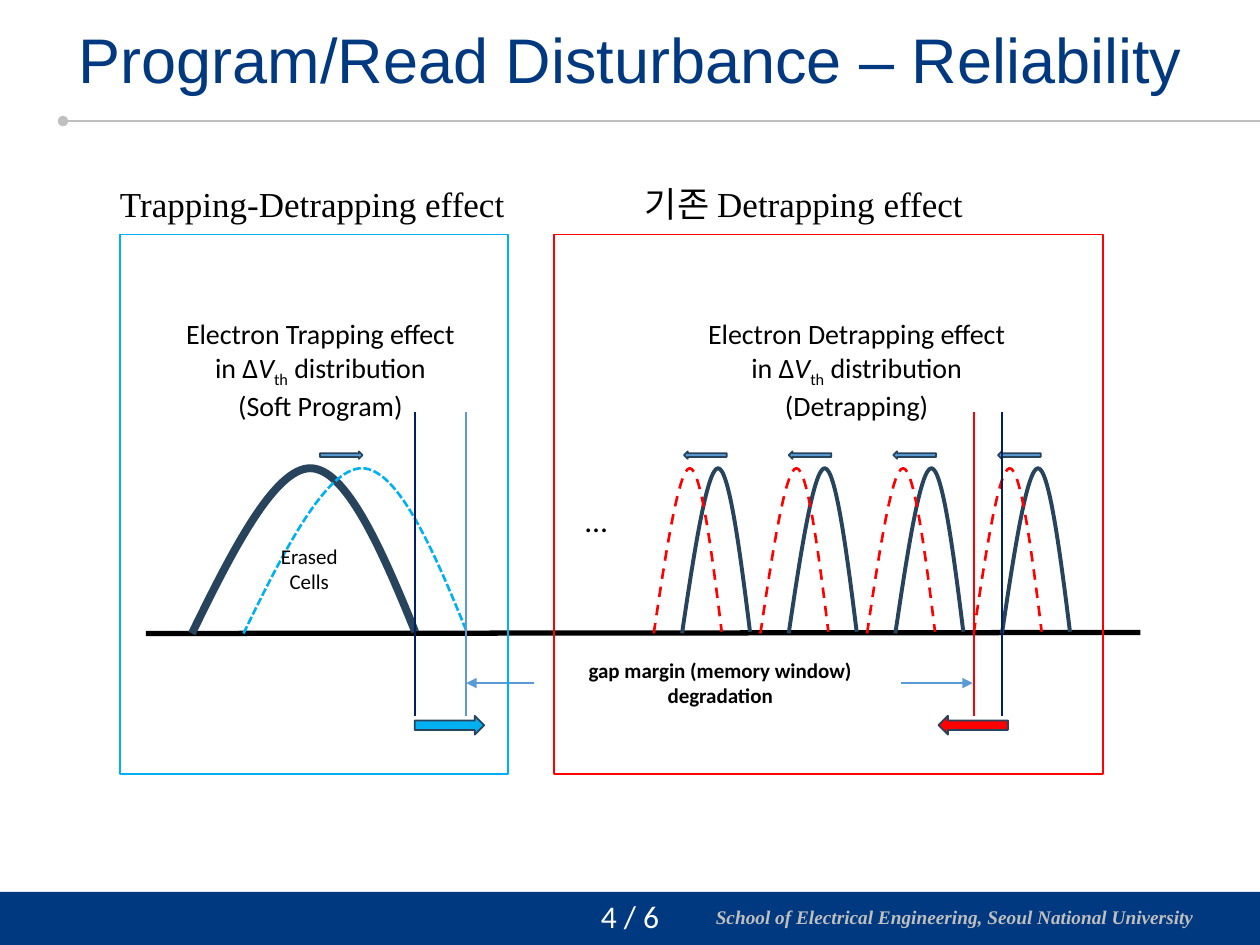
from lxml.etree import SubElement
from pptx import Presentation
from pptx.dml.color import RGBColor
from pptx.enum.dml import MSO_LINE
from pptx.enum.shapes import MSO_CONNECTOR, MSO_SHAPE
from pptx.enum.text import MSO_ANCHOR, MSO_AUTO_SIZE, PP_ALIGN
from pptx.oxml.ns import qn
from pptx.util import Cm, Pt

color = RGBColor.from_string
NAVY, SLATE, BLUE, CYAN, RED = "00397F", "28445D", "5B9BD5", "00B0F0", "FF0000"
DARK_BLUE, GREY, BLACK, WHITE = "002060", "BFBFBF", "000000", "FFFFFF"

deck = Presentation()
deck.slide_width, deck.slide_height = Cm(25.4), Cm(19.05)
page = deck.slides.add_slide(deck.slide_layouts[5])


def add_line(x1, y1, x2, y2, hue, width, head=None, tail=None):
    line = page.shapes.add_connector(
        MSO_CONNECTOR.STRAIGHT, Cm(x1), Cm(y1), Cm(x2), Cm(y2))
    line.line.color.rgb = color(hue)
    line.line.width = Pt(width)
    outline = line.line._get_or_add_ln()
    for tag, kind in (("a:headEnd", head), ("a:tailEnd", tail)):
        if kind:
            SubElement(outline, qn(tag), type=kind)
    SubElement(line._element.spPr, qn("a:effectLst"))


def add_text(x, y, width, height, texts, size, name="Calibri", hue=BLACK,
             align=PP_ALIGN.CENTER):
    """Add a text box with one paragraph per text and return its frame."""
    box = page.shapes.add_textbox(Cm(x), Cm(y), Cm(width), Cm(height))
    frame = box.text_frame
    frame.word_wrap = True
    for index, text in enumerate(texts):
        para = frame.add_paragraph() if index else frame.paragraphs[0]
        para.text = text
        para.alignment = align
        para.font.size = Pt(size)
        para.font.name = name
        para.font.color.rgb = color(hue)
    return frame


# Title and rule
title = page.shapes.title
title.left, title.top, title.width, title.height = Cm(0.27), Cm(0.44), Cm(24.87), Cm(1.65)
title.text_frame.text = "Program/Read Disturbance – Reliability"
title.text_frame.auto_size = MSO_AUTO_SIZE.NONE
title.text_frame.vertical_anchor = MSO_ANCHOR.MIDDLE
para = title.text_frame.paragraphs[0]
para.alignment = PP_ALIGN.CENTER
para.line_spacing = 0.9
para.font.size = Pt(36)
para.font.name = "Arial"
para.font.color.rgb = color(NAVY)
add_line(1.27, 2.44, 25.4, 2.44, GREY, 0.75, head="oval")

# Footer
footer = page.shapes.add_shape(MSO_SHAPE.RECTANGLE, Cm(-0.03), Cm(17.98), Cm(25.45), Cm(1.09))
footer.shadow.inherit = False
footer.fill.solid()
footer.fill.fore_color.rgb = color(NAVY)
footer.line.fill.background()
frame = add_text(14.18, 18.19, 11.23, 0.66,
                 ["School of Electrical Engineering, Seoul National University"],
                 11, "Times New Roman", GREY, PP_ALIGN.LEFT)
frame.paragraphs[0].line_spacing = 0.85
frame.paragraphs[0].font.bold = True
frame.paragraphs[0].font.italic = True
frame = add_text(11.47, 17.96, 2.46, 1.02, ["4 / 6"], 18, hue=WHITE)
frame.vertical_anchor = MSO_ANCHOR.MIDDLE

# Threshold voltage distributions: left, width, colour, line width, dash
add_line(2.94, 12.77, 22.99, 12.75, BLACK, 3)
curves = [(3.87, 4.5, SLATE, 4.5, None)]
curves += [(13.75 + 2.15 * i, 1.37, SLATE, 2.25, None) for i in range(4)]
curves += [(13.18 + 2.15 * i, 1.37, RED, 1.5, MSO_LINE.DASH) for i in range(4)]
curves += [(4.91, 4.5, CYAN, 1.5, MSO_LINE.SQUARE_DOT)]

# Bell in a unit square: a start, then three Bezier points for each half
bell = [(0, 1), (0.18, 0.5), (0.37, 0), (0.53, 0), (0.69, 0), (0.85, 0.49), (1, 0.99)]

for left, width, hue, weight, dash in curves:
    points = [(Cm(left + width * x), Cm(9.44 + 3.33 * y)) for x, y in bell]
    builder = page.shapes.build_freeform(*points[0])
    builder.add_line_segments(points[1:], close=False)
    curve = builder.convert_to_shape()
    segments = curve._element.spPr.findall(".//" + qn("a:lnTo"))
    for half in (segments[:3], segments[3:]):
        outline = half[0].getparent()
        bezier = SubElement(outline, qn("a:cubicBezTo"))
        for segment in half:
            bezier.append(segment[0])
            outline.remove(segment)
    curve.shadow.inherit = False
    curve.fill.background()
    curve.line.color.rgb = color(hue)
    curve.line.width = Pt(weight)
    if dash:
        curve.line.dash_style = dash

# Shift arrows: left, top, width, height, fill, rotation
arrows = [(13.79 + 2.11 * i, 9.1, 0.86, 0.15, BLUE, 0) for i in range(4)]
arrows += [(6.45, 9.1, 0.86, 0.15, BLUE, 180),
           (18.92, 14.43, 1.4, 0.38, RED, 0),
           (8.36, 14.43, 1.4, 0.38, CYAN, 180)]
for left, top, width, height, hue, rotation in arrows:
    arrow = page.shapes.add_shape(
        MSO_SHAPE.LEFT_ARROW, Cm(left), Cm(top), Cm(width), Cm(height))
    arrow.rotation = rotation
    arrow.shadow.inherit = False
    arrow.fill.solid()
    arrow.fill.fore_color.rgb = color(hue)
    arrow.line.color.rgb = color(SLATE)
    arrow.line.width = Pt(1)

# Window limits and gap margin
for x, hue in ((9.4, BLUE), (20.2, DARK_BLUE), (19.63, RED), (8.36, DARK_BLUE)):
    add_line(x, 8.31, x, 14.43, hue, 1)
for start, end in ((10.77, 9.4), (18.16, 19.61)):
    add_line(start, 13.77, end, 13.77, BLUE, 1, tail="triangle")
frame = add_text(10.24, 13.13, 8.56, 1.27, ["gap margin (memory window)", "degradation"], 12)
for para in frame.paragraphs:
    para.font.bold = True

# Labels
for left, effect, cause in ((12.56, "Detrapping", "Detrapping"),
                            (1.75, "Trapping", "Soft Program")):
    frame = add_text(left, 6.26, 9.42, 2.31,
                     [f"Electron {effect} effect\vin Δ", f"({cause})"], 16)
    symbol, subscript, rest = [frame.paragraphs[0].add_run() for _ in range(3)]
    symbol.text, subscript.text, rest.text = "V", "th", " distribution"
    symbol.font.italic = True
    subscript._r.get_or_add_rPr().set("baseline", "-25000")
add_text(4.8, 10.83, 2.87, 0.89, ["Erased\vCells"], 12)
add_text(11.55, 9.98, 1.55, 1.52, ["…"], 18, align=PP_ALIGN.LEFT)

# Framed regions with headings
for left, width, hue, text_left, text_width, heading in (
        (11.17, 11.07, RED, 12.75, 7.24, "기존 Detrapping effect"),
        (2.42, 7.82, CYAN, 2.17, 8.33, "Trapping-Detrapping effect")):
    region = page.shapes.add_shape(
        MSO_SHAPE.RECTANGLE, Cm(left), Cm(4.73), Cm(width), Cm(10.87))
    region.shadow.inherit = False
    region.fill.background()
    region.line.color.rgb = color(hue)
    region.line.width = Pt(1)
    add_text(text_left, 3.56, text_width, 1.12, [heading], 20,
             "Times New Roman", align=PP_ALIGN.LEFT)

deck.save("out.pptx")
